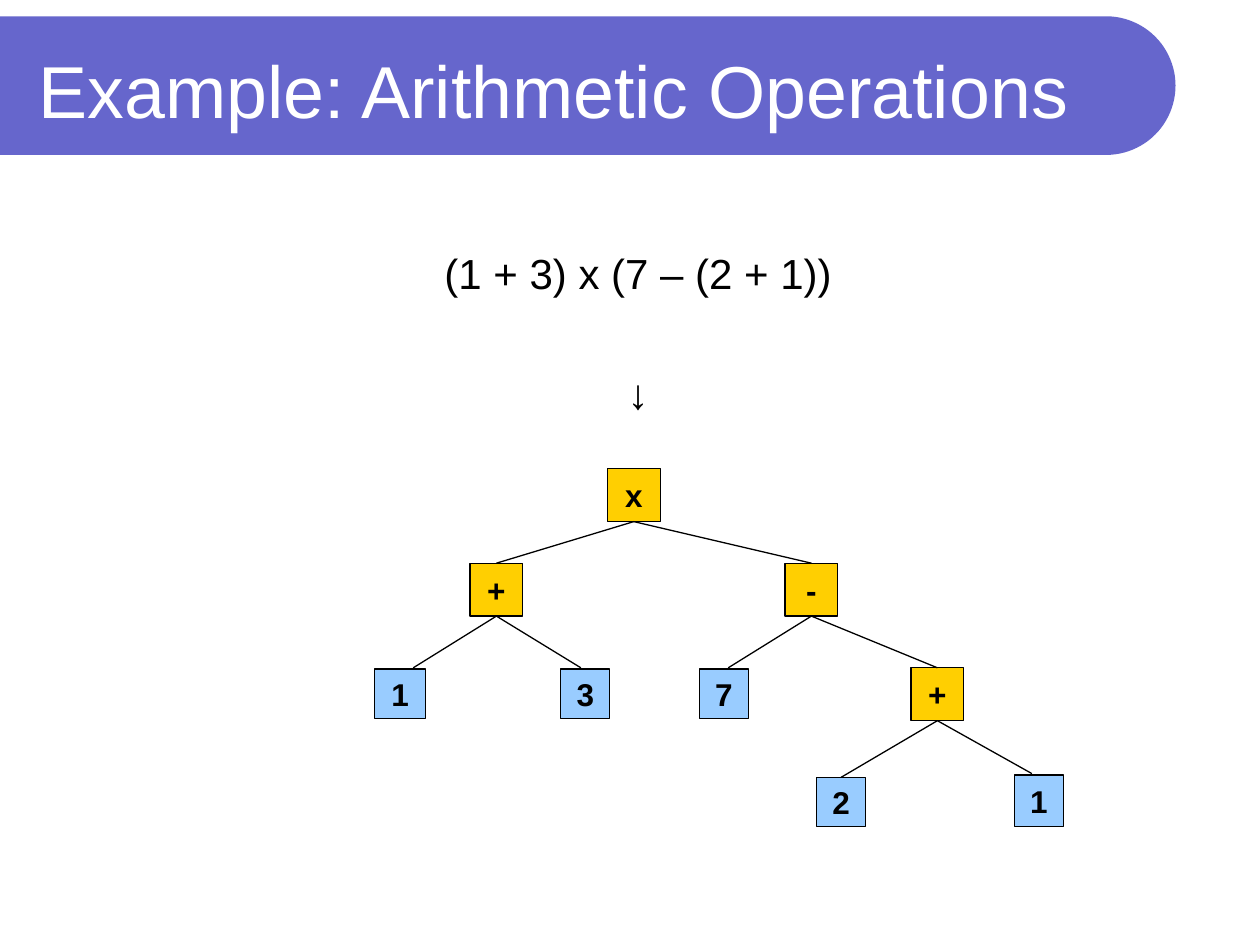
from math import cos, pi, sin

from lxml import etree
from pptx import Presentation
from pptx.dml.color import RGBColor
from pptx.enum.shapes import MSO_CONNECTOR, MSO_SHAPE
from pptx.enum.text import MSO_ANCHOR, PP_ALIGN
from pptx.oxml.ns import qn
from pptx.util import Inches, Pt

RECTANGLE = MSO_SHAPE.RECTANGLE
STRAIGHT = MSO_CONNECTOR.STRAIGHT
MIDDLE = MSO_ANCHOR.MIDDLE
CENTER = PP_ALIGN.CENTER
LEFT = PP_ALIGN.LEFT
TOP_SIDE, BOTTOM_SIDE = 0, 2

COLORS = {
    "banner": "6666CC",
    "title": "FFFFFF",
    "ink": "000000",
    "operator": "FFCF01",
    "operand": "99CCFF",
}


def color(name):
    return RGBColor.from_string(COLORS[name])


def write(paragraph, text, size, ink="ink", align=CENTER, bold=False):
    paragraph.alignment = align
    run = paragraph.add_run()
    run.text = text
    run.font.name = "Arial"
    run.font.size = Pt(size)
    run.font.bold = bold
    run.font.color.rgb = color(ink)


prs = Presentation()
prs.slide_width = Inches(10)
prs.slide_height = Inches(7.5)
slide = prs.slides.add_slide(prs.slide_layouts[6])
shapes = slide.shapes

banner_top, banner_height, banner_right = 0.13, 1.1, 9.33
radius = banner_height / 2
steps = 48
arc = [
    (
        Inches(banner_right - radius + radius * sin(pi * step / steps)),
        Inches(banner_top + radius - radius * cos(pi * step / steps)),
    )
    for step in range(steps + 1)
]
outline = shapes.build_freeform(0, Inches(banner_top))
outline.add_line_segments(arc + [(0, Inches(banner_top + banner_height))], close=True)
banner = outline.convert_to_shape()
banner.shadow.inherit = False
banner.fill.solid()
banner.fill.fore_color.rgb = color("banner")
banner.line.fill.background()

title = shapes.add_textbox(Inches(0.21), Inches(0.21), Inches(8.77), Inches(1)).text_frame
title.word_wrap = True
title.vertical_anchor = MIDDLE
write(title.paragraphs[0], "Example: Arithmetic Operations", 42, "title", LEFT)

expression = shapes.add_textbox(Inches(0.42), Inches(1.39), Inches(9.29), Inches(5.75)).text_frame
expression.word_wrap = True
expression.margin_top = Inches(0.57)
write(expression.paragraphs[0], "(1 + 3) x (7 – (2 + 1))", 24)
arrow = expression.add_paragraph()
arrow.space_before = Pt(40)
write(arrow, "↓", 24)

nodes = {
    "product": ("x", "operator", 4.82, 3.72, 0.42, 0.42),
    "left sum": ("+", "operator", 3.73, 4.47, 0.42, 0.42),
    "difference": ("-", "operator", 6.23, 4.47, 0.42, 0.42),
    "inner sum": ("+", "operator", 7.23, 5.3, 0.42, 0.42),
    "one": ("1", "operand", 2.97, 5.31, 0.41, 0.39),
    "three": ("3", "operand", 4.45, 5.31, 0.39, 0.39),
    "seven": ("7", "operand", 5.55, 5.31, 0.39, 0.39),
    "two": ("2", "operand", 6.48, 6.17, 0.39, 0.39),
    "last one": ("1", "operand", 8.05, 6.15, 0.39, 0.41),
}
tree = {}
for key, (symbol, role, left, top, width, height) in nodes.items():
    node = shapes.add_shape(RECTANGLE, Inches(left), Inches(top), Inches(width), Inches(height))
    node.shadow.inherit = False
    node.fill.solid()
    node.fill.fore_color.rgb = color(role)
    node.line.color.rgb = color("ink")
    node.line.width = Pt(0.75)
    node.text_frame.vertical_anchor = MIDDLE
    write(node.text_frame.paragraphs[0], symbol, 18, bold=True)
    tree[key] = node

branches = [
    ("product", "left sum", None),
    ("product", "difference", None),
    ("left sum", None, (3.28, 5.3)),
    ("left sum", None, (4.61, 5.3)),
    ("difference", None, (5.78, 5.3)),
    ("difference", "inner sum", None),
    ("inner sum", "two", None),
    ("inner sum", None, (8.19, 6.14)),
]
for parent, child, loose_end in branches:
    end_x, end_y = loose_end or (0, 0)
    branch = shapes.add_connector(STRAIGHT, 0, 0, Inches(end_x), Inches(end_y))
    branch.begin_connect(tree[parent], BOTTOM_SIDE)
    if child:
        branch.end_connect(tree[child], TOP_SIDE)
    branch.line.color.rgb = color("ink")
    branch.line.width = Pt(0.75)
    etree.SubElement(branch._element.spPr, qn("a:effectLst"))

prs.save("out.pptx")
